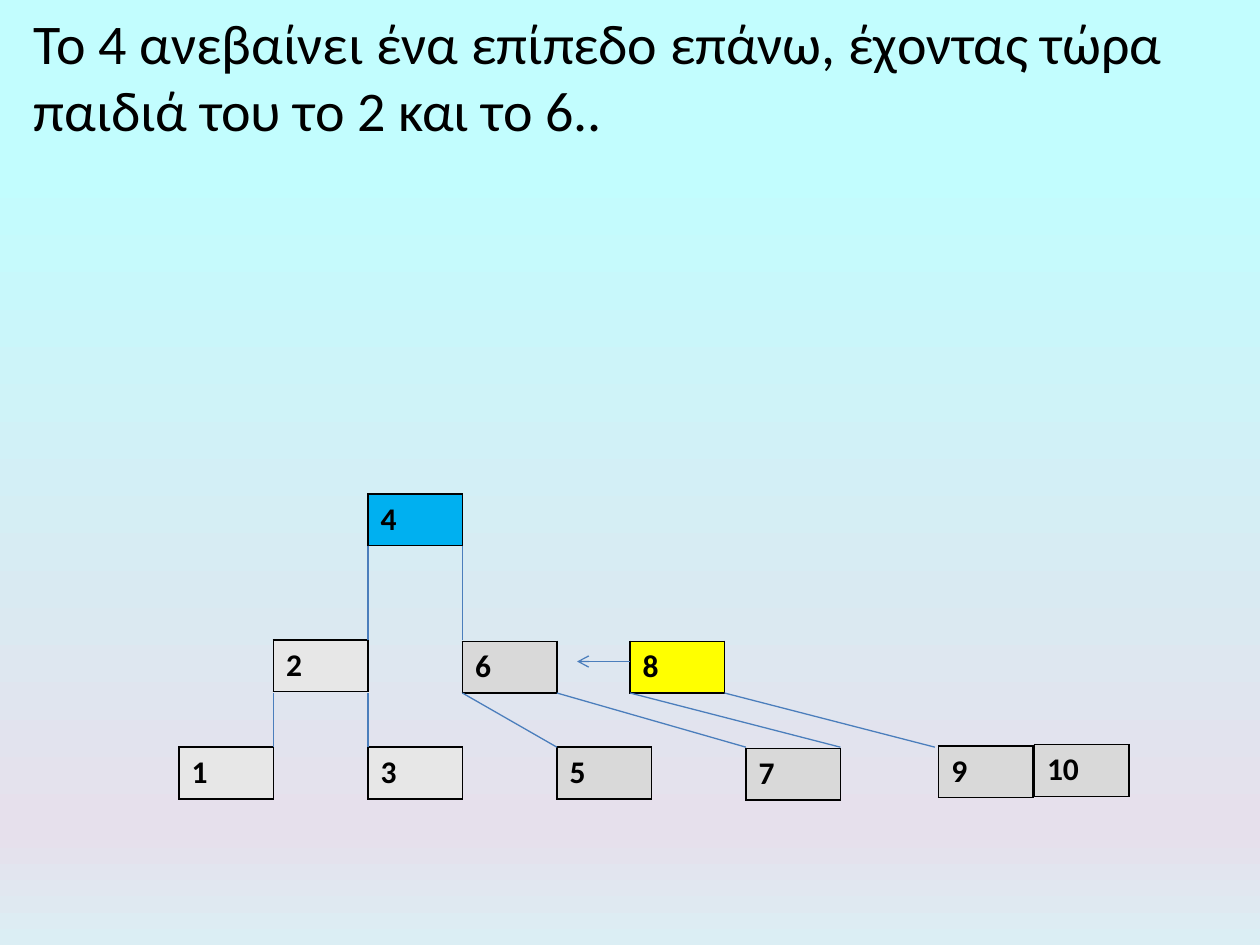
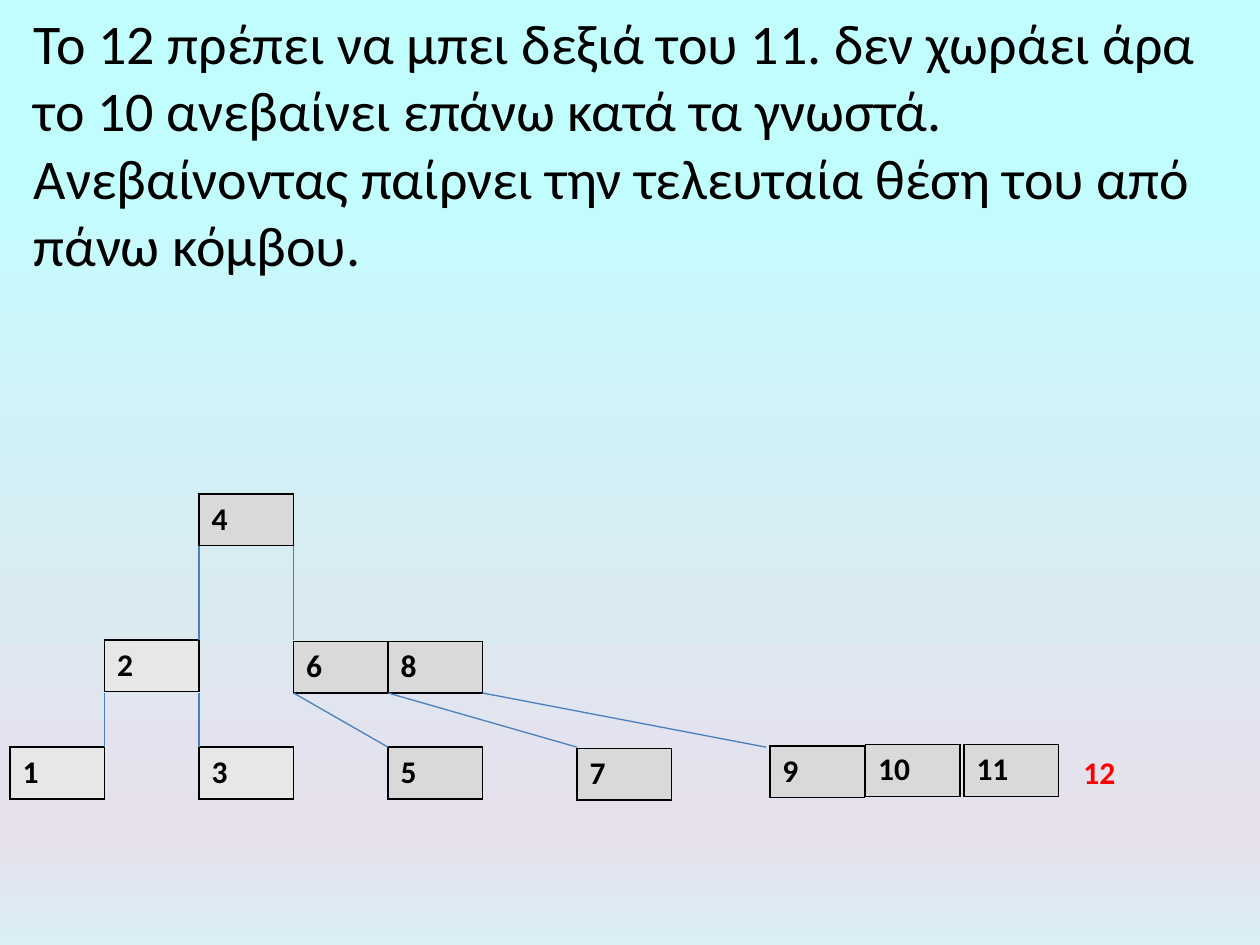
"""Builds two slides that show insertions into a 2-3 tree."""
from lxml import etree
from pptx import Presentation
from pptx.dml.color import RGBColor
from pptx.enum.shapes import MSO_CONNECTOR
from pptx.enum.text import MSO_AUTO_SIZE
from pptx.oxml.ns import qn
from pptx.util import Inches, Pt

STRAIGHT = MSO_CONNECTOR.STRAIGHT
GROW = MSO_AUTO_SIZE.SHAPE_TO_FIT_TEXT

COLORS = {
    "text": "000000", "new": "FF0000", "edge": "4B7EBC", "border": "000000",
    "light": "E7E7E7", "gray": "D9D9D9", "raised": "00B0F0", "moving": "FFFF00",
    "sky": "C2FDFE", "lilac": "E6E0EC", "ice": "DBEEF4",
}
BACKGROUND = [(17, "sky"), (88, "lilac"), (100, "ice")]
FONT = "Calibri"
CELL_WIDTH, CELL_HEIGHT = 0.75, 0.41
ROOT_BOTTOM, MIDDLE_TOP, MIDDLE_BOTTOM, LEAF_TOP = 4.33, 5.08, 5.5, 5.93

# Offsets from the leftmost leaf, then top and fill
SHARED_KEYS = {
    "1": (0, 5.93, "light"), "2": (0.75, 5.08, "light"), "3": (1.5, 5.93, "light"),
    "4": (1.5, 3.92, "gray"), "5": (3, 5.93, "gray"), "6": (2.25, 5.09, "gray"),
    "7": (4.5, 5.94, "gray"), "8": (3, 5.09, "gray"), "9": (6.03, 5.92, "gray"),
    "10": (6.79, 5.91, "gray"),
}
ROOT_EDGES = [(1.5, 1.5), (2.25, 2.25)]
LEAF_EDGES = [(0.75, 0.75), (1.5, 1.5), (2.25, 3), (3, 4.5)]

SLIDES = [
    {
        "title": "Το 4 ανεβαίνει ένα επίπεδο επάνω, έχοντας τώρα παιδιά του "
                 "το 2 και το 6..",
        "title_height": 1.18,
        "left": 1.42,
        "keys": {"4": (1.5, 3.92, "raised"), "8": (3.58, 5.09, "moving")},
        "leaf_edges": [(3.58, 5.25), (4.33, 6)],
        "arrow": (3.58, 3.16, 5.25),
    },
    {
        "title": "Το 12 πρέπει να μπει δεξιά του 11. δεν χωράει άρα το 10 ανεβαίνει "
                 "επάνω κατά τα γνωστά. Ανεβαίνοντας παίρνει την τελευταία θέση του "
                 "από πάνω κόμβου.",
        "title_height": 2.26,
        "left": 0.08,
        "keys": {"11": (7.57, 5.91, "gray")},
        "leaf_edges": [(3.75, 6)],
        "new_key": ("12", (8.5, 5.93, 1.08, 0.4)),
    },
]


def rgb(name):
    return RGBColor.from_string(COLORS[name])


def write(frame, text, size=18, color="text", bold=False):
    span = frame.paragraphs[0].add_run()
    span.text = text
    span.font.name = FONT
    span.font.size = Pt(size)
    span.font.bold = bold
    span.font.color.rgb = rgb(color)


def add_text(page, text, place, **style):
    box = page.shapes.add_textbox(*map(Inches, place))
    box.text_frame.word_wrap = True
    box.text_frame.auto_size = GROW
    write(box.text_frame, text, **style)


def add_color(parent, name):
    solid = etree.SubElement(parent, qn("a:solidFill"))
    etree.SubElement(solid, qn("a:srgbClr"), val=COLORS[name])


def add_key(page, text, left, top, fill):
    place = map(Inches, (left, top, CELL_WIDTH, CELL_HEIGHT))
    table = page.shapes.add_table(1, 1, *place).table
    table.first_row = table.horz_banding = False
    cell = table.cell(0, 0)
    properties = cell._tc.get_or_add_tcPr()
    for side in ("lnL", "lnR", "lnT", "lnB"):
        border = etree.SubElement(properties, qn(f"a:{side}"), w=str(Pt(1)))
        add_color(border, "border")
    cell.fill.solid()
    cell.fill.fore_color.rgb = rgb(fill)
    write(cell.text_frame, text, bold=True)


def add_line(page, start, end, arrow=False):
    line = page.shapes.add_connector(STRAIGHT, *map(Inches, (*start, *end)))
    line.line.color.rgb = rgb("edge")
    line.line.width = Pt(0.75)
    if arrow:
        etree.SubElement(line.line._get_or_add_ln(), qn("a:tailEnd"), type="arrow")
    etree.SubElement(line._element.spPr, qn("a:effectLst"))


def paint_background(page):
    fill = page.background.fill
    fill.gradient()
    fill.gradient_angle = 270
    stops = page.element.find(".//" + qn("a:gsLst"))
    for stop in list(stops):
        stops.remove(stop)
    for percent, name in BACKGROUND:
        stop = etree.SubElement(stops, qn("a:gs"), pos=str(percent * 1000))
        etree.SubElement(stop, qn("a:srgbClr"), val=COLORS[name])


def build_slide(deck, content):
    page = deck.slides.add_slide(deck.slide_layouts[6])
    paint_background(page)
    left = content["left"]
    for key, (offset, top, fill) in {**SHARED_KEYS, **content["keys"]}.items():
        add_key(page, key, left + offset, top, fill)
    levels = [
        (ROOT_EDGES, ROOT_BOTTOM, MIDDLE_TOP),
        (LEAF_EDGES + content["leaf_edges"], MIDDLE_BOTTOM, LEAF_TOP),
    ]
    for edges, top, bottom in levels:
        for parent, child in edges:
            add_line(page, (left + parent, top), (left + child, bottom))
    if "arrow" in content:
        start, end, height = content["arrow"]
        add_line(page, (left + start, height), (left + end, height), arrow=True)
    add_text(page, content["title"], (0.17, 0.02, 9.67, content["title_height"]), size=32)
    if "new_key" in content:
        add_text(page, *content["new_key"], color="new", bold=True)


def main():
    deck = Presentation()
    deck.slide_width, deck.slide_height = Inches(10), Inches(7.5)
    for content in SLIDES:
        build_slide(deck, content)
    deck.save("out.pptx")


if __name__ == "__main__":
    main()
